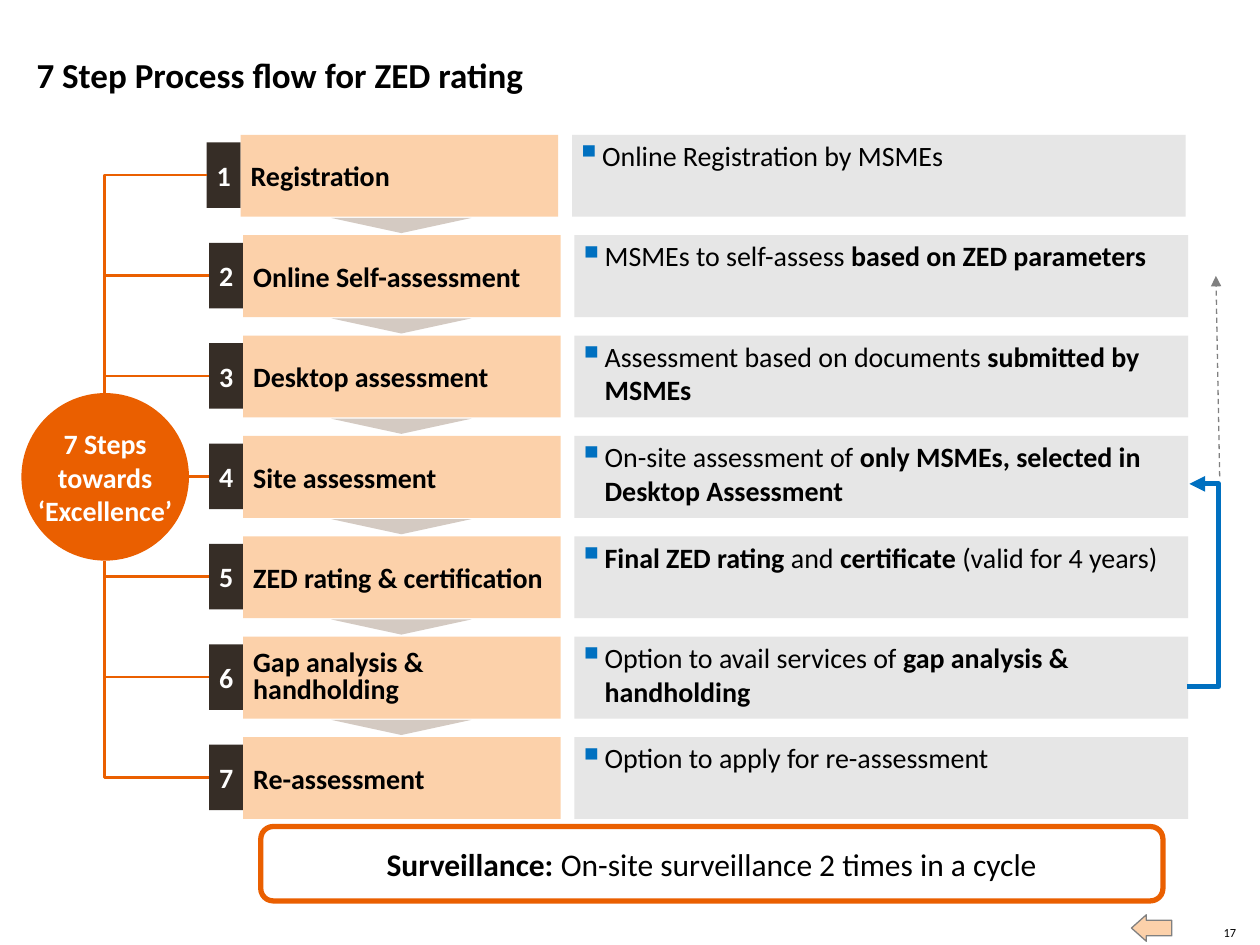
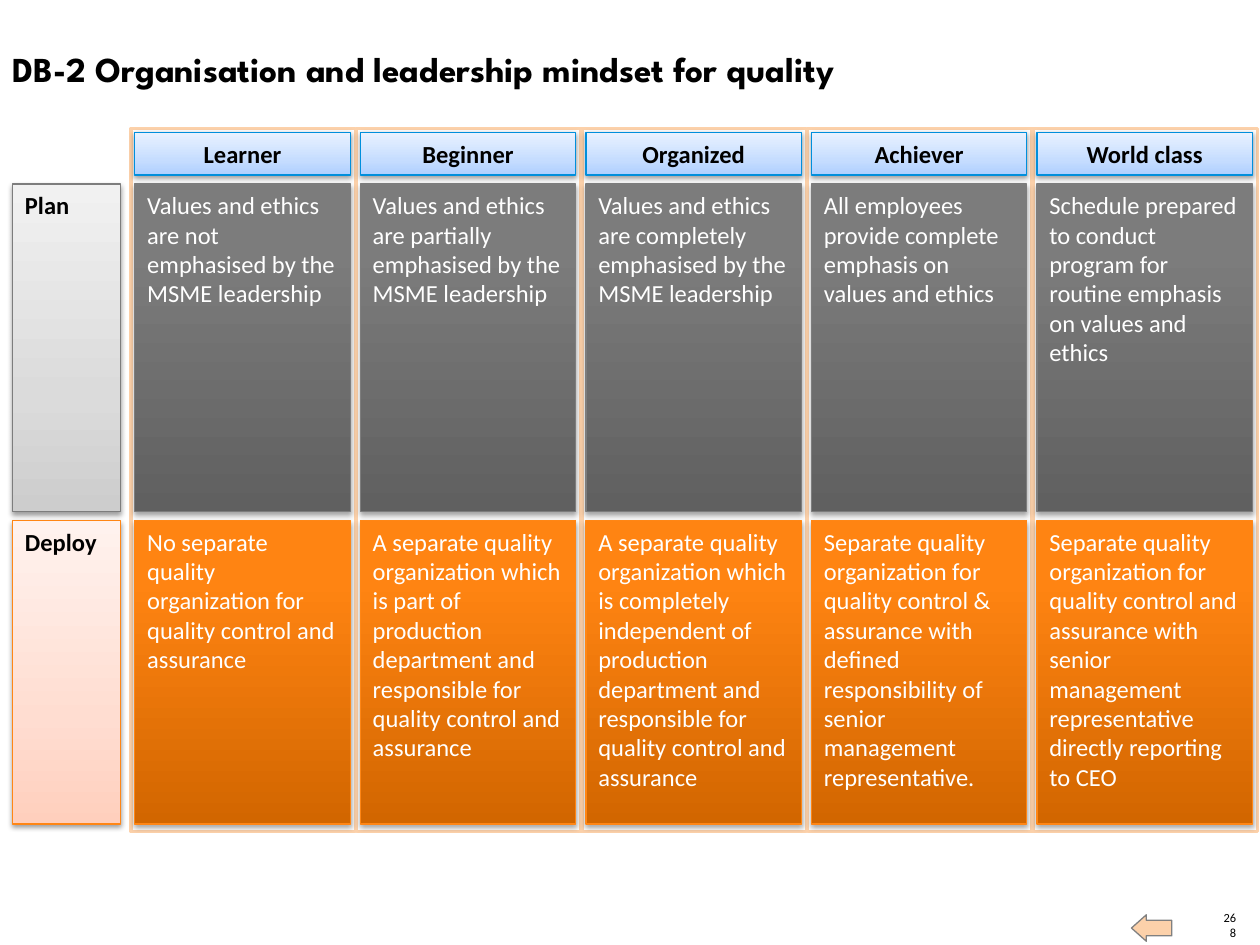
from pptx import Presentation
from pptx.dml.color import RGBColor
from pptx.enum.dml import MSO_LINE
from pptx.enum.shapes import MSO_CONNECTOR, MSO_SHAPE
from pptx.enum.text import MSO_ANCHOR, MSO_AUTO_SIZE, PP_ALIGN
from pptx.oxml import parse_xml
from pptx.oxml.ns import nsdecls, qn
from pptx.util import Inches, Pt

RECTANGLE = MSO_SHAPE.RECTANGLE
STRAIGHT, ELBOW = MSO_CONNECTOR.STRAIGHT, MSO_CONNECTOR.ELBOW
TOP, MIDDLE, BOTTOM = MSO_ANCHOR.TOP, MSO_ANCHOR.MIDDLE, MSO_ANCHOR.BOTTOM
LEFT, CENTER, RIGHT = PP_ALIGN.LEFT, PP_ALIGN.CENTER, PP_ALIGN.RIGHT

COLORS = {
    "black": "000000", "white": "FFFFFF", "orange": "EA5F00", "peach": "FCD1AA",
    "brown": "362D26", "taupe": "D4CAC2", "pale gray": "E6E6E6", "gray": "808080",
    "blue": "0070C0", "header line": "008FDC", "plan line": "7D7D7D",
    "deploy line": "FF8615",
}
# Gradients run from the bottom edge to the top edge
GRADIENTS = {
    "header": [(0, "AECFFF"), (35, "C6DDFF"), (100, "E9F2FF")],
    "plan label": [(0, "CDCDCD"), (35, "DBDBDB"), (100, "F1F1F1")],
    "deploy label": [(0, "FFCFBD"), (35, "FFDDD1"), (100, "FFF2EE")],
    "plan": [(0, "606060"), (80, "7C7C7C"), (100, "7D7D7D")],
    "deploy": [(0, "D26600"), (80, "FF8412"), (100, "FF8514")],
}
FONT = "Calibri"


def write_text(shape, text, size=16, color="black", bold=False, font=FONT, align=LEFT,
               anchor=MIDDLE, insets=(0.1, 0.05, 0.1, 0.05), wrap=True,
               bullet=False, line_spacing=None):
    """Write a string, or a list of (text, bold) runs, as one paragraph."""
    frame = shape.text_frame
    frame.auto_size = MSO_AUTO_SIZE.NONE
    frame.word_wrap = wrap
    frame.vertical_anchor = anchor
    (frame.margin_left, frame.margin_top,
     frame.margin_right, frame.margin_bottom) = [Inches(inset) for inset in insets]
    paragraph = frame.paragraphs[0]
    paragraph.alignment = align
    if bullet:
        properties = paragraph._p.get_or_add_pPr()
        properties.set("marL", str(Inches(0.21)))
        properties.set("indent", str(-Inches(0.21)))
        for element in (f'<a:buClr {nsdecls("a")}><a:srgbClr val="{COLORS["blue"]}"/></a:buClr>',
                        f'<a:buSzPct {nsdecls("a")} val="125000"/>',
                        f'<a:buChar {nsdecls("a")} char="▪"/>'):
            properties.append(parse_xml(element))
    if line_spacing:
        paragraph.line_spacing = line_spacing
    runs = [(text, bold)] if isinstance(text, str) else text
    for run_text, run_bold in runs:
        for number, line in enumerate(run_text.split("\n")):
            if number:
                paragraph.add_line_break()
            run = paragraph.add_run()
            run.text = line
            run.font.name = font
            run.font.size = Pt(size)
            run.font.bold = run_bold
            run.font.color.rgb = RGBColor.from_string(COLORS[color])


def add_box(slide, kind, left, top, width, height, fill=None, gradient=None,
            line=None, line_width=0.75, shadow=None):
    """Add a shape; shadow is its opacity in percent."""
    shape = slide.shapes.add_shape(
        kind, Inches(left), Inches(top), Inches(width), Inches(height))
    properties = shape._element.spPr
    if gradient:
        stops = "".join(
            f'<a:gs pos="{position * 1000}"><a:srgbClr val="{color}"/></a:gs>'
            for position, color in GRADIENTS[gradient])
        properties.insert(2, parse_xml(
            f'<a:gradFill {nsdecls("a")} rotWithShape="1"><a:gsLst>{stops}</a:gsLst>'
            '<a:lin ang="16200000" scaled="0"/></a:gradFill>'))
    else:
        shape.fill.solid()
        shape.fill.fore_color.rgb = RGBColor.from_string(COLORS[fill])
    if line:
        shape.line.color.rgb = RGBColor.from_string(COLORS[line])
        shape.line.width = Pt(line_width)
    else:
        shape.line.fill.background()
    shape.shadow.inherit = False
    if shadow:
        properties.find(qn("a:effectLst")).append(parse_xml(
            f'<a:outerShdw {nsdecls("a")} blurRad="{Pt(3.1)}" dist="{Pt(1.6)}" '
            'dir="5400000" rotWithShape="0"><a:srgbClr val="000000">'
            f'<a:alpha val="{shadow * 1000}"/></a:srgbClr></a:outerShdw>'))
    return shape


presentation = Presentation()
presentation.slide_width = Inches(10)
presentation.slide_height = Inches(7.5)

# Shared parts: title, page number and back arrow
pages = [
    ("7 Step Process flow for ZED rating", "17", (0.19, 0.42, 7.65, 0.34),
     {"font": FONT, "anchor": BOTTOM, "insets": (0.1, 0, 0, 0)}),
    ("DB-2 Organisation and leadership mindset for quality", "268", (0, 0.33, 8.6, 0.44),
     {"font": "League Spartan", "anchor": TOP}),
]
for title_text, page_number, place, title_format in pages:
    slide = presentation.slides.add_slide(presentation.slide_layouts[5])
    title = slide.shapes.title
    title.left, title.top, title.width, title.height = [Inches(value) for value in place]
    write_text(title, title_text, size=20, bold=True, **title_format)
    number_box = slide.shapes.add_textbox(
        Inches(9.69), Inches(7.34), Inches(0.12), Inches(0.12))
    write_text(number_box, page_number, size=7.1, align=RIGHT, anchor=BOTTOM,
               insets=(0, 0, 0, 0))
    back_arrow = add_box(slide, MSO_SHAPE.RIGHT_ARROW, 8.98, 7.26, 0.32, 0.21,
                         fill="peach", line="gray")
    back_arrow.adjustments[0] = 0.59
    back_arrow.adjustments[1] = 0.56
    back_arrow.rotation = 180
process_slide, maturity_slide = presentation.slides

# Slide 1: the seven steps
steps = [
    ("Registration", [("Online Registration by MSMEs", False)]),
    ("Online Self-assessment",
     [("MSMEs to self-assess ", False), ("based on ZED parameters", True)]),
    ("Desktop assessment",
     [("Assessment based on documents", False), (" submitted by MSMEs", True)]),
    ("Site assessment",
     [("On-site assessment of ", False),
      ("only MSMEs, selected in Desktop Assessment", True)]),
    ("ZED rating & certification",
     [("Final ZED rating ", True), ("and ", False), ("certificate ", True),
      ("(valid for 4 years)", False)]),
    ("Gap analysis & handholding",
     [("Option to avail services of ", False), ("gap analysis & handholding", True)]),
    ("Re-assessment", [("Option to apply for re-assessment", False)]),
]
FIRST_TOP, LAST_TOP = 1.07, 5.85
step_pitch = (LAST_TOP - FIRST_TOP) / (len(steps) - 1)
hub_x, hub_top, hub_bottom, hub_middle = 0.83, 3.12, 4.45, 3.78
hub = add_box(process_slide, MSO_SHAPE.OVAL, 0.17, hub_top, 1.33, 1.33, fill="orange")
write_text(hub, "7 Steps\ntowards\n‘Excellence’", color="white", bold=True,
           align=CENTER, wrap=False)

# Each connector: kind, preset, start, end, colour, width, dash, arrowhead
connectors = []
for index, (step_name, details) in enumerate(steps):
    top = FIRST_TOP + index * step_pitch
    left = 1.64 if index == 0 else 1.66
    detail_box = add_box(process_slide, RECTANGLE, left + 2.9, top, 4.87, 0.65,
                         fill="pale gray")
    write_text(detail_box, details, anchor=TOP, insets=(0.03,) * 4, bullet=True)
    number_box = add_box(process_slide, RECTANGLE, left, top + 0.06, 0.27, 0.52, fill="brown")
    write_text(number_box, str(index + 1), color="white", bold=True, align=CENTER,
               insets=(0, 0, 0, 0))
    name_box = add_box(process_slide, RECTANGLE, left + 0.27, top, 2.52, 0.65, fill="peach")
    write_text(name_box, step_name, bold=True, insets=(0.08,) * 4,
               line_spacing=0.8 if index == 5 else None)
    if index < len(steps) - 1:
        pointer = add_box(process_slide, MSO_SHAPE.ISOSCELES_TRIANGLE, 2.63, top + 0.66,
                          1.11, 0.12, fill="taupe")
        pointer.rotation = 180
    if index == 3:
        middle_number_box = number_box
    else:
        hub_edge = hub_top if index < 3 else hub_bottom
        connectors.append((ELBOW, "bentConnector2", (left, top + 0.32), (hub_x, hub_edge),
                           "orange", 1.5, False, False))

# Links from the hub, the return path and the dashed arrow
connectors += [
    (STRAIGHT, "line", (1.5, hub_middle), (1.66, hub_middle), "orange", 1.5, False, False),
    (ELBOW, "bentConnector3", (9.42, 5.45), (9.44, 3.84), "blue", 3, False, True),
    (STRAIGHT, "line", (9.68, hub_middle), (9.65, 2.19), "gray", 0.75, True, True),
]
for kind, preset, start, end, color, width, dashed, arrowhead in connectors:
    connector = process_slide.shapes.add_connector(
        kind, *[Inches(value) for value in start + end])
    connector.line.color.rgb = RGBColor.from_string(COLORS[color])
    connector.line.width = Pt(width)
    if dashed:
        connector.line.dash_style = MSO_LINE.DASH
    properties = connector._element.spPr
    geometry = properties.find(qn("a:prstGeom"))
    geometry.set("prst", preset)
    if preset == "bentConnector3":
        # The bend lies 0.25 inches to the right of the start
        bend = round(0.25 / (end[0] - start[0]) * 100000)
        geometry.find(qn("a:avLst")).append(parse_xml(
            f'<a:gd {nsdecls("a")} name="adj1" fmla="val {bend}"/>'))
    if arrowhead:
        properties.find(qn("a:ln")).append(
            parse_xml(f'<a:tailEnd {nsdecls("a")} type="triangle"/>'))
    properties.append(parse_xml(f'<a:effectLst {nsdecls("a")}/>'))
    if start == (1.5, hub_middle):
        connector.end_connect(middle_number_box, 1)

# Surveillance banner
banner = add_box(process_slide, MSO_SHAPE.ROUNDED_RECTANGLE, 2.07, 6.56, 7.16, 0.59,
                 fill="white", line="orange", line_width=3)
write_text(banner, [("Surveillance: ", True),
                    ("On-site surveillance 2 times in a cycle", False)],
           size=18, align=CENTER, insets=(0.08,) * 4)

# Slide 2: row labels
rows = [("Plan", "plan", 1.46, 2.6), ("Deploy", "deploy", 4.13, 2.41)]
for label, style, top, height in rows:
    label_box = add_box(maturity_slide, RECTANGLE, 0.1, top, 0.86, height,
                        gradient=f"{style} label", line=f"{style} line", shadow=38)
    write_text(label_box, label, size=14, bold=True, anchor=TOP)

# Maturity levels: heading, plan text, deploy text
levels = [
    ("Learner",
     "Values and ethics are not emphasised by the MSME leadership",
     "No separate quality organization for quality control and assurance"),
    ("Beginner",
     "Values and ethics are partially emphasised by the MSME leadership",
     "A separate quality organization which is part of production department and "
     "responsible for quality control and assurance"),
    ("Organized",
     "Values and ethics are completely emphasised by the MSME leadership",
     "A separate quality organization which is completely independent of production "
     "department and responsible for quality control and assurance"),
    ("Achiever",
     "All employees provide complete emphasis on values and ethics",
     "Separate quality organization for quality control & assurance with defined "
     "responsibility of senior management representative."),
    ("World class",
     "Schedule prepared to conduct program for routine emphasis on values and ethics",
     "Separate quality organization for quality control and assurance with senior "
     "management representative directly reporting to CEO"),
]
level_lefts = [1.07 + 1.79 * index for index in range(len(levels))]
for left in level_lefts:
    add_box(maturity_slide, RECTANGLE, left - 0.03, 1.02, 1.78, 5.58,
            fill="white", line="peach", line_width=2)
for left, (heading, *texts) in zip(level_lefts, levels):
    for (label, style, top, height), text in zip(rows, texts):
        cell = add_box(maturity_slide, RECTANGLE, left, top, 1.71, height,
                       gradient=style, line=f"{style} line", shadow=35)
        write_text(cell, text, size=14, color="white", anchor=TOP)
    header = add_box(maturity_slide, RECTANGLE, left, 1.05, 1.71, 0.34,
                     gradient="header", line="header line", shadow=38)
    write_text(header, heading, size=14, bold=True, align=CENTER)

presentation.save("out.pptx")
